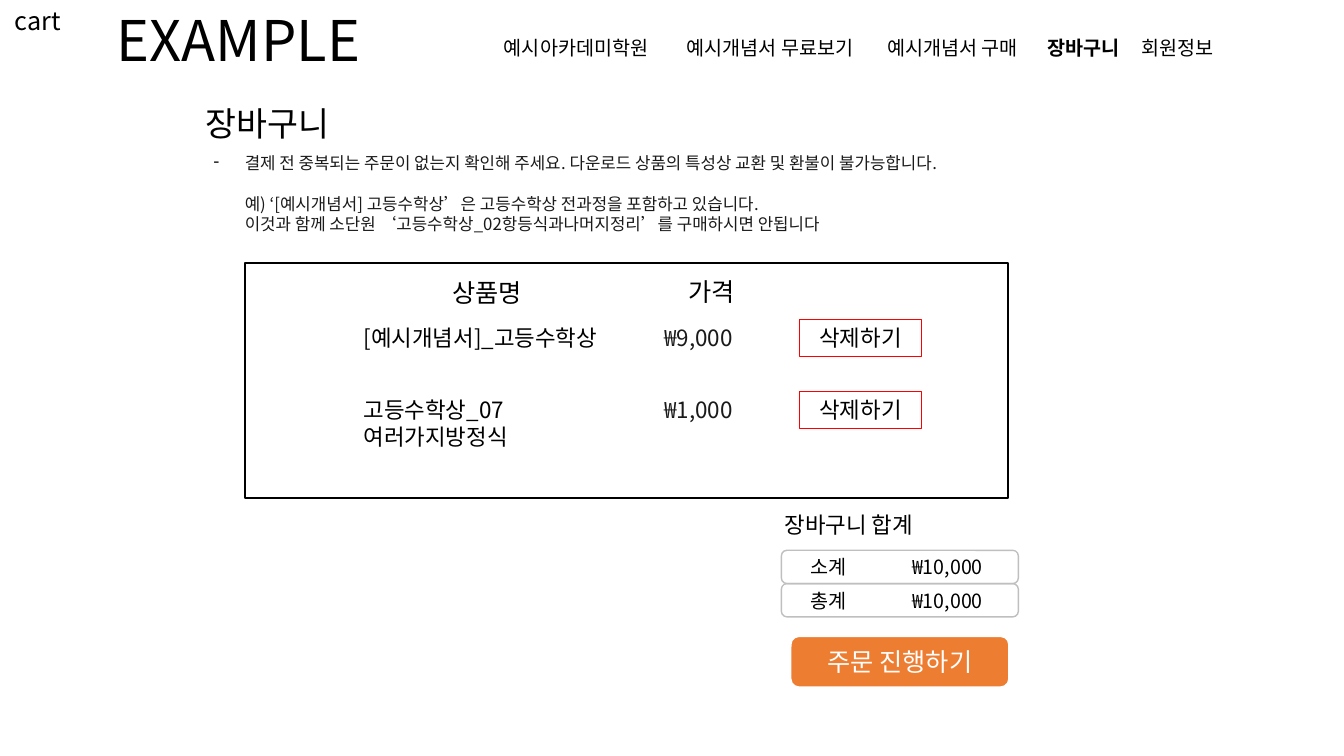
from lxml.etree import SubElement
from pptx import Presentation
from pptx.dml.color import RGBColor
from pptx.enum.shapes import MSO_SHAPE
from pptx.enum.text import MSO_ANCHOR, MSO_AUTO_SIZE, PP_ALIGN
from pptx.oxml.ns import qn
from pptx.util import Inches, Pt

FONT_NAME = "Noto Sans CJK KR"
BLACK = RGBColor(0x00, 0x00, 0x00)
CHARCOAL = RGBColor(0x1A, 0x1A, 0x1A)
GRAY = RGBColor(0xBF, 0xBF, 0xBF)
RED = RGBColor(0xFF, 0x00, 0x00)
ORANGE = RGBColor(0xED, 0x7D, 0x31)
WHITE = RGBColor(0xFF, 0xFF, 0xFF)

MENU = ["예시아카데미학원", "예시개념서 무료보기", "예시개념서 구매", "장바구니", "회원정보"]
MENU_STOPS = [1.81, 3.8, 5.39, 6.32]
NOTICE = [
    "결제 전 중복되는 주문이 없는지 확인해 주세요. 다운로드 상품의 특성상 교환 및 환불이 불가능합니다.",
    "예) ‘[예시개념서] 고등수학상’은 고등수학상 전과정을 포함하고 있습니다.\v"
    "이것과 함께 소단원 ‘고등수학상_02항등식과나머지정리’를 구매하시면 안됩니다",
]
ITEMS = [
    ("[예시개념서]_고등수학상", "₩9,000", 0.37),
    ("고등수학상_07여러가지방정식", "₩1,000", 0.64),
]
TOTALS = [("소계", "₩10,000"), ("총계", "₩10,000")]


def apply_format(target, values):
    """Set each named attribute on the target."""
    for name, value in values.items():
        setattr(target, name, value)


def add_run(paragraph, text, size, color=BLACK, bold=False):
    """Add text in the slide font, for Latin and Korean letters alike."""
    paragraph.add_run().text = text
    for run in paragraph.runs:
        apply_format(run.font, {"name": FONT_NAME, "size": Pt(size), "bold": bold})
        run.font.color.rgb = color
        properties = run.font._element
        if properties.find(qn("a:ea")) is None:
            SubElement(properties, qn("a:ea"), typeface=FONT_NAME)


def add_tab_stops(paragraph, positions):
    """Give a paragraph left tab stops at positions in inches."""
    tab_list = SubElement(paragraph._p.get_or_add_pPr(), qn("a:tabLst"))
    for position in positions:
        SubElement(tab_list, qn("a:tab"), pos=str(Inches(position)), algn="l")


def add_text_box(slide, box, text="", size=16, color=BLACK, align=PP_ALIGN.LEFT):
    """Add a wrapping text box and return its first paragraph."""
    shape = slide.shapes.add_textbox(*map(Inches, box))
    apply_format(shape.text_frame, {
        "word_wrap": True, "auto_size": MSO_AUTO_SIZE.SHAPE_TO_FIT_TEXT})
    paragraph = shape.text_frame.paragraphs[0]
    paragraph.alignment = align
    if text:
        add_run(paragraph, text, size, color)
    return paragraph


def add_box(slide, kind, box, line, width=1, fill=None, anchor=MSO_ANCHOR.MIDDLE):
    """Add an outlined preset shape, filled only when a fill is given."""
    shape = slide.shapes.add_shape(kind, *map(Inches, box))
    shape.shadow.inherit = False
    if fill is None:
        shape.fill.background()
    else:
        shape.fill.solid()
        shape.fill.fore_color.rgb = fill
    shape.line.color.rgb = line
    shape.line.width = Pt(width)
    apply_format(shape.text_frame, {"word_wrap": True, "vertical_anchor": anchor})
    return shape


def add_label(shape, text, size, color=BLACK):
    """Write centred text in a shape."""
    paragraph = shape.text_frame.paragraphs[0]
    paragraph.alignment = PP_ALIGN.CENTER
    add_run(paragraph, text, size, color)


def add_menu(slide):
    """Add the top menu with the current page in bold."""
    paragraph = add_text_box(slide, (4.9, 0.31, 8.06, 0.34))
    add_tab_stops(paragraph, MENU_STOPS)
    for index, entry in enumerate(MENU):
        add_run(paragraph, entry if index == 0 else "\t" + entry, 14)
    for run in paragraph.runs:
        run.font.bold = run.text.strip() == "장바구니"


def add_notice(slide):
    """Add the dashed notice and its indented example."""
    first = add_text_box(slide, (2.02, 1.47, 8.23, 0.91))
    second = first._parent.add_paragraph()
    second.space_before = Pt(14.4)
    for paragraph, text, indent in zip((first, second), NOTICE, (-0.31, 0)):
        add_paragraph_text(paragraph, text)
        properties = paragraph._p.get_or_add_pPr()
        properties.set("marL", str(Inches(0.31)))
        properties.set("indent", str(Inches(indent)))
    SubElement(first._p.get_or_add_pPr(), qn("a:buChar"), char="-")


def add_paragraph_text(paragraph, text):
    """Add notice lines separated by line breaks."""
    for index, line in enumerate(text.split("\v")):
        if index:
            paragraph.add_line_break()
        add_run(paragraph, line, 12, CHARCOAL)


def add_item(slide, top, name, price, height):
    """Add one cart row with its delete button."""
    add_text_box(slide, (3.51, top, 2.73, height), name)
    add_text_box(slide, (6.49, top, 1.12, 0.37), price, color=CHARCOAL)
    button = add_box(slide, MSO_SHAPE.RECTANGLE, (7.93, top, 1.21, 0.37), RED, 0.75,
                     anchor=MSO_ANCHOR.TOP)
    add_label(button, "삭제하기", 16)


def add_total(slide, top, label, amount):
    """Add one total row with its amount at a tab stop."""
    shape = add_box(slide, MSO_SHAPE.ROUNDED_RECTANGLE, (7.75, top, 2.35, 0.33), GRAY)
    shape.text_frame.margin_left = Inches(0.27)
    paragraph = shape.text_frame.paragraphs[0]
    paragraph.alignment = PP_ALIGN.LEFT
    add_tab_stops(paragraph, [1.01])
    add_run(paragraph, f"{label}\t{amount}", 14)


def main():
    """Build the cart page and save it."""
    presentation = Presentation()
    apply_format(presentation, {"slide_width": Inches(13.33), "slide_height": Inches(7.5)})
    slide = presentation.slides.add_slide(presentation.slide_layouts[6])
    add_text_box(slide, (0.05, 0, 1.84, 0.4), "cart", 18)
    add_text_box(slide, (1.94, 0.97, 1.95, 0.5), "장바구니", 24)
    add_notice(slide)
    add_box(slide, MSO_SHAPE.RECTANGLE, (2.43, 2.61, 7.57, 2.33), BLACK)
    add_text_box(slide, (4.39, 2.7, 0.97, 0.4), "상품명", 18)
    add_text_box(slide, (6.57, 2.69, 0.97, 0.4), "가격", 18, align=PP_ALIGN.CENTER)
    for index, item in enumerate(ITEMS):
        add_item(slide, 3.17 + 0.71 * index, *item)
    add_text_box(slide, (7.61, 5.02, 1.62, 0.37), "장바구니 합계", align=PP_ALIGN.CENTER)
    for index, total in enumerate(TOTALS):
        add_total(slide, 5.46 + 0.33 * index, *total)
    order = add_box(slide, MSO_SHAPE.ROUNDED_RECTANGLE, (7.84, 6.31, 2.17, 0.51),
                    WHITE, 1.5, ORANGE)
    add_label(order, "주문 진행하기", 18, WHITE)
    add_menu(slide)
    add_text_box(slide, (1.06, 0.01, 3.46, 0.77), "EXAMPLE", 40)
    presentation.save("out.pptx")


if __name__ == "__main__":
    main()
